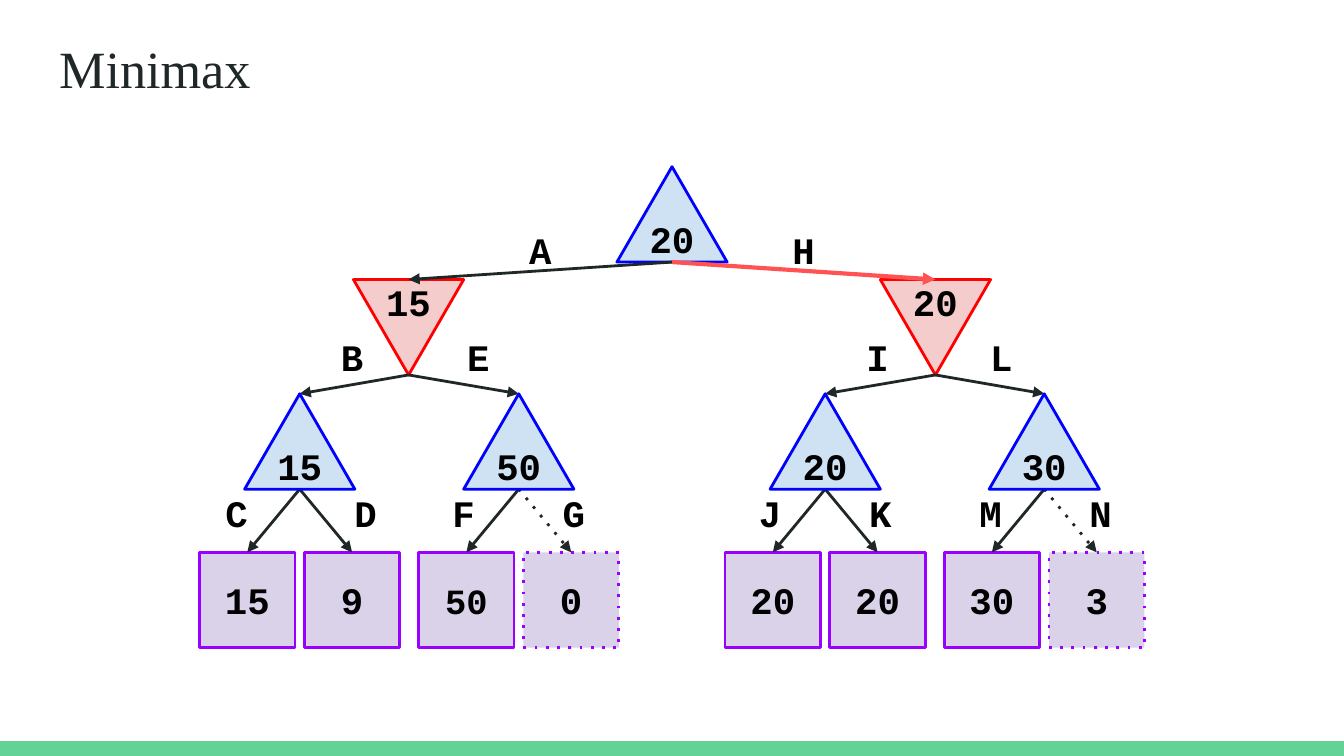
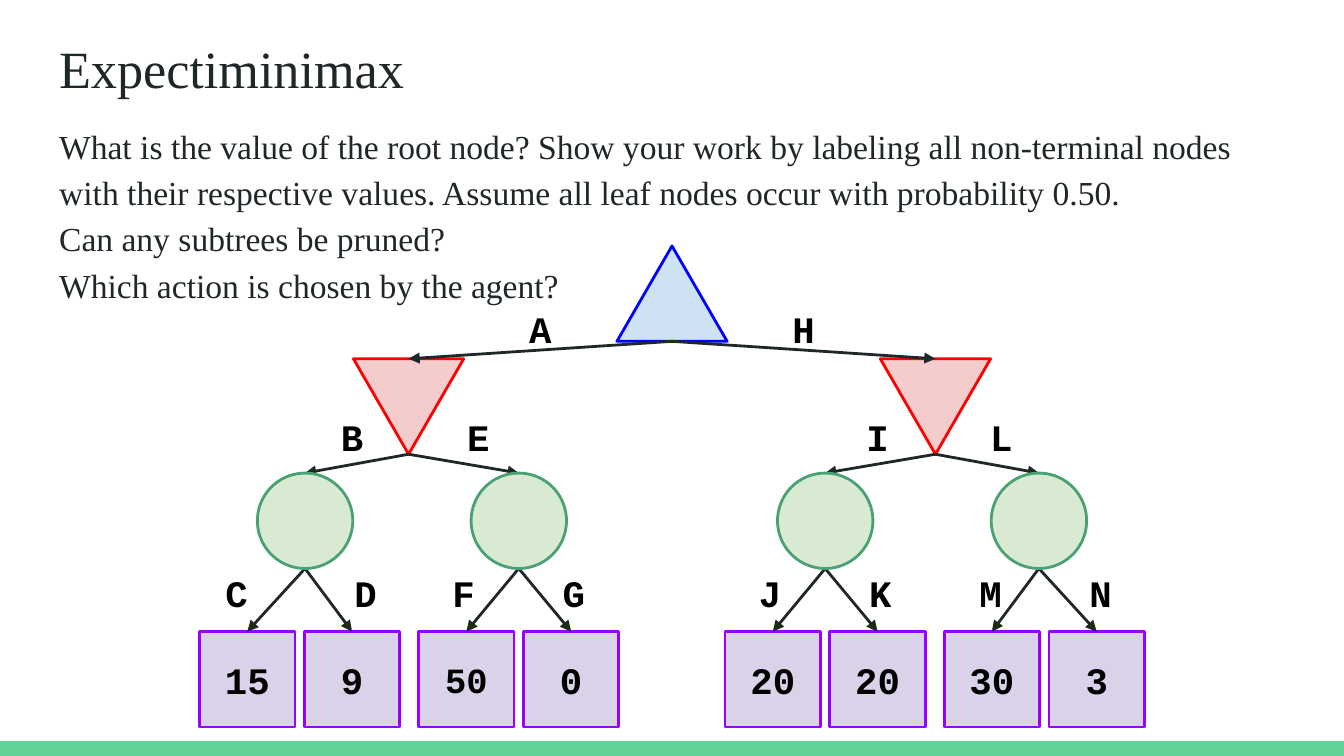
from dataclasses import dataclass

from pptx import Presentation
from pptx.dml.color import RGBColor
from pptx.enum.dml import MSO_LINE
from pptx.enum.shapes import MSO_CONNECTOR, MSO_SHAPE
from pptx.enum.text import MSO_ANCHOR, MSO_AUTO_SIZE, PP_ALIGN
from pptx.oxml.ns import qn
from pptx.util import Inches, Pt
from lxml import etree

TRIANGLE, CIRCLE = MSO_SHAPE.ISOSCELES_TRIANGLE, MSO_SHAPE.OVAL
SQUARE, STRAIGHT = MSO_SHAPE.RECTANGLE, MSO_CONNECTOR.STRAIGHT
DOT = MSO_LINE.ROUND_DOT
LEFT, CENTER = PP_ALIGN.LEFT, PP_ALIGN.CENTER
TOP, MIDDLE = MSO_ANCHOR.TOP, MSO_ANCHOR.MIDDLE
NO_FIT = MSO_AUTO_SIZE.NONE
TITLE_AND_BODY, TITLE_ONLY = 1, 5


@dataclass(frozen=True)
class Theme:
    serif: str = "Times New Roman"
    mono: str = "Courier New"
    ink: str = "202729"
    black: str = "000000"
    band: str = "63D297"
    chosen: str = "FF5252"
    title: float = 28
    body: float = 18
    node: float = 20
    tight: float = 19
    line: float = 1.5
    bold_line: float = 2.25


THEME = Theme()
W = 10
H = W * 9 / 16
MARGIN, PAD = 0.34, 0.1
BAND_H = 0.11
NODE_H = 0.71

KINDS = {
    "max": (TRIANGLE, 0.82, 0, "CFE2F3", "0000FF"),
    "min": (TRIANGLE, 0.82, 180, "F4CCCC", "FF0000"),
    "chance": (CIRCLE, NODE_H, 0, "D9EAD3", "4BA173"),
    "leaf": (SQUARE, NODE_H, 0, "D9D2E9", "9900FF"),
}
LEVEL_TOPS = [0, 0.84, 1.69, 2.87]
MIN_XS = [W / 2 - 1.96, W / 2 + 1.96]
PAIR_XS = [2.23, 3.86, 6.14, 7.77]
LEAF_XS = [x + side * 0.39 for x in PAIR_XS for side in (-1, 1)]
LEAVES = ["15", "9", "50", "0", "20", "20", "30", "3"]
TIGHT_LEAF = 2

ACTIONS = [
    (0.35, {"A": 4.02, "H": 5.98}),
    (1.15, {"B": 2.62, "E": 3.56, "I": 6.53, "L": 7.45}),
    (2.31, {"C": 1.76, "D": 2.72, "F": 3.45, "G": 4.27,
            "J": 5.73, "K": 6.55, "M": 7.37, "N": 8.19}),
]

SLIDES = [
    {
        "title": "Minimax",
        "body": [],
        "top": 1.24,
        "kinds": ["max", "min", "max", "leaf"],
        "pair_xs": PAIR_XS,
        "values": [["20"], ["15", "20"], ["15", "50", "20", "30"], LEAVES],
        "chosen": "H",
        "pruned": "GN",
    },
    {
        "title": "Expectiminimax",
        "body": [
            "What is the value of the root node? Show your work by labeling "
            "all non-terminal nodes with their respective values. Assume all "
            "leaf nodes occur with probability 0.50.",
            "Can any subtrees be pruned?",
            "Which action is chosen by the agent?",
        ],
        "top": 1.83,
        "kinds": ["max", "min", "chance", "leaf"],
        "pair_xs": [2.27, 3.86, 6.14, 7.73],
        "values": [[""], [""] * 2, [""] * 4, LEAVES],
        "chosen": "",
        "pruned": "",
    },
]


def rgb(color):
    return RGBColor.from_string(color)


def style_line(sp, color, width, dotted=False):
    sp.line.color.rgb = rgb(color)
    sp.line.width = Pt(width)
    ln = sp._element.spPr.find(qn("a:ln"))
    if dotted:
        sp.line.dash_style = DOT
        ln.find(qn("a:prstDash")).set("val", "dot")
    return ln


def write(sp, lines, font, size, color, bold=False, align=CENTER,
          anchor=TOP, pad=PAD):
    tf = sp.text_frame
    tf.word_wrap, tf.auto_size, tf.vertical_anchor = True, NO_FIT, anchor
    tf.margin_left = tf.margin_right = Inches(pad)
    tf.margin_top = tf.margin_bottom = Inches(pad)
    tf.text = "\n".join(lines)
    for p in tf.paragraphs:
        p.alignment = align
        p.font.name, p.font.size, p.font.bold = font, Pt(size), bold
        p.font.color.rgb = rgb(color)
    return tf


def write_mono(sp, text, size=THEME.node, **options):
    write(sp, [text], THEME.mono, size, THEME.black, bold=True, **options)


def place(sp, left, top, width, height):
    sp.left, sp.top = Inches(left), Inches(top)
    sp.width, sp.height = Inches(width), Inches(height)


def add_text(s, x, top, width, height, text, **options):
    sp = s.shapes.add_textbox(Inches(x - width / 2), Inches(top),
                              Inches(width), Inches(height))
    write_mono(sp, text, **options)


def add_node(s, kind, x, top, value, size=THEME.node, dotted=False):
    preset, width, turn, fill, line = KINDS[kind]
    sp = s.shapes.add_shape(preset, Inches(x - width / 2), Inches(top),
                            Inches(width), Inches(NODE_H))
    sp.shadow.inherit = False
    sp.rotation = turn
    sp.fill.solid()
    sp.fill.fore_color.rgb = rgb(fill)
    style_line(sp, line, THEME.line, dotted)
    if value and turn:
        add_text(s, x, top, 0.56, NODE_H / 2, value, pad=0)
    elif value:
        write_mono(sp, value, size, anchor=MIDDLE,
                   pad=PAD if kind == "leaf" else 0)


def add_arrow(s, start, end, chosen, pruned):
    sp = s.shapes.add_connector(STRAIGHT, *map(Inches, start + end))
    color = THEME.chosen if chosen else THEME.ink
    width = THEME.bold_line if chosen else THEME.line
    ln = style_line(sp, color, width, pruned)
    etree.SubElement(ln, qn("a:tailEnd")).set("type", "triangle")
    etree.SubElement(sp._element.spPr, qn("a:effectLst"))


def add_tree(s, data):
    xs = [[W / 2], MIN_XS, data["pair_xs"], LEAF_XS]
    tops = [data["top"] + y for y in LEVEL_TOPS]
    leaf_actions = list(ACTIONS[-1][1])

    def add_level(level):
        kind = data["kinds"][level]
        for i, (x, value) in enumerate(zip(xs[level], data["values"][level])):
            leaf = kind == "leaf"
            size = THEME.tight if leaf and i == TIGHT_LEAF else THEME.node
            dotted = leaf and leaf_actions[i] in data["pruned"]
            add_node(s, kind, x, tops[level], value, size, dotted)

    for level in (0, 1, 3):
        add_level(level)
    for level, (label_top, labels) in enumerate(ACTIONS):
        for i, (name, label_x) in enumerate(labels.items()):
            start = (xs[level][i // 2], tops[level] + NODE_H)
            end = (xs[level + 1][i], tops[level + 1])
            add_arrow(s, start, end, name in data["chosen"],
                      name in data["pruned"])
            add_text(s, label_x, data["top"] + label_top, 0.47, 0.44, name)
    add_level(2)


def add_body(s, lines):
    sp = s.placeholders[1]
    place(sp, MARGIN, 0.79, W - 2 * MARGIN, 1.57)
    tf = write(sp, lines, THEME.serif, THEME.body, THEME.ink, align=LEFT)
    for p in tf.paragraphs:
        p.line_spacing = 1.15
        p.space_before = p.space_after = Pt(0)
        pPr = p._p.get_or_add_pPr()
        pPr.set("marL", "0")
        pPr.set("indent", "0")
        pPr.insert_element_before(etree.Element(qn("a:buNone")),
                                  "a:tabLst", "a:defRPr", "a:extLst")


def add_slide(prs, data):
    layout = TITLE_AND_BODY if data["body"] else TITLE_ONLY
    s = prs.slides.add_slide(prs.slide_layouts[layout])
    if data["body"]:
        add_body(s, data["body"])
    title = s.shapes.title
    place(title, MARGIN, 0.17, W - 2 * MARGIN, 0.63)
    write(title, [data["title"]], THEME.serif, THEME.title, THEME.ink,
          align=LEFT)
    add_tree(s, data)
    return s


def add_master_band(prs, s):
    sp = s.shapes.add_shape(SQUARE, 0, Inches(H - BAND_H),
                            Inches(W), Inches(BAND_H))
    sp.shadow.inherit = False
    sp.fill.solid()
    sp.fill.fore_color.rgb = rgb(THEME.band)
    sp.line.fill.background()
    prs.slide_master.shapes._spTree.insert(2, sp._element)


def main():
    prs = Presentation()
    prs.slide_width, prs.slide_height = Inches(W), Inches(H)
    slides = [add_slide(prs, data) for data in SLIDES]
    add_master_band(prs, slides[0])
    prs.save("out.pptx")


if __name__ == "__main__":
    main()
